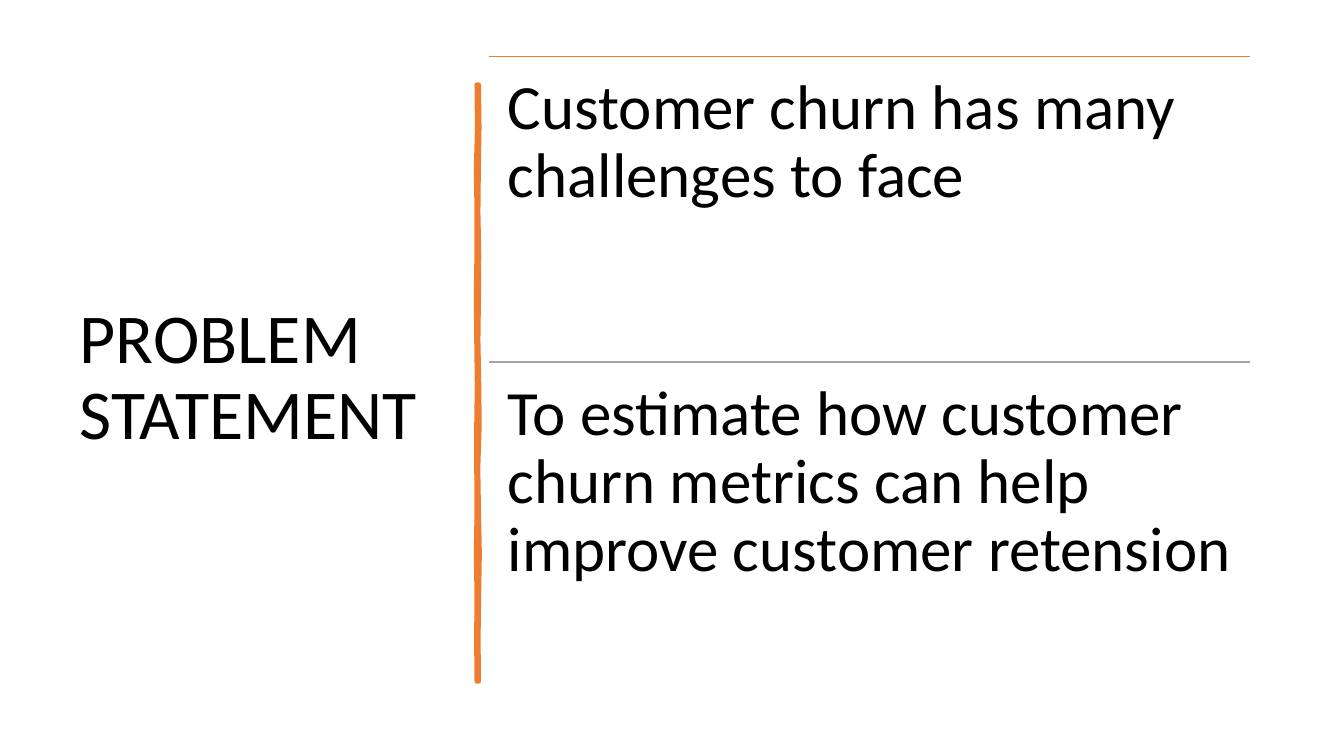
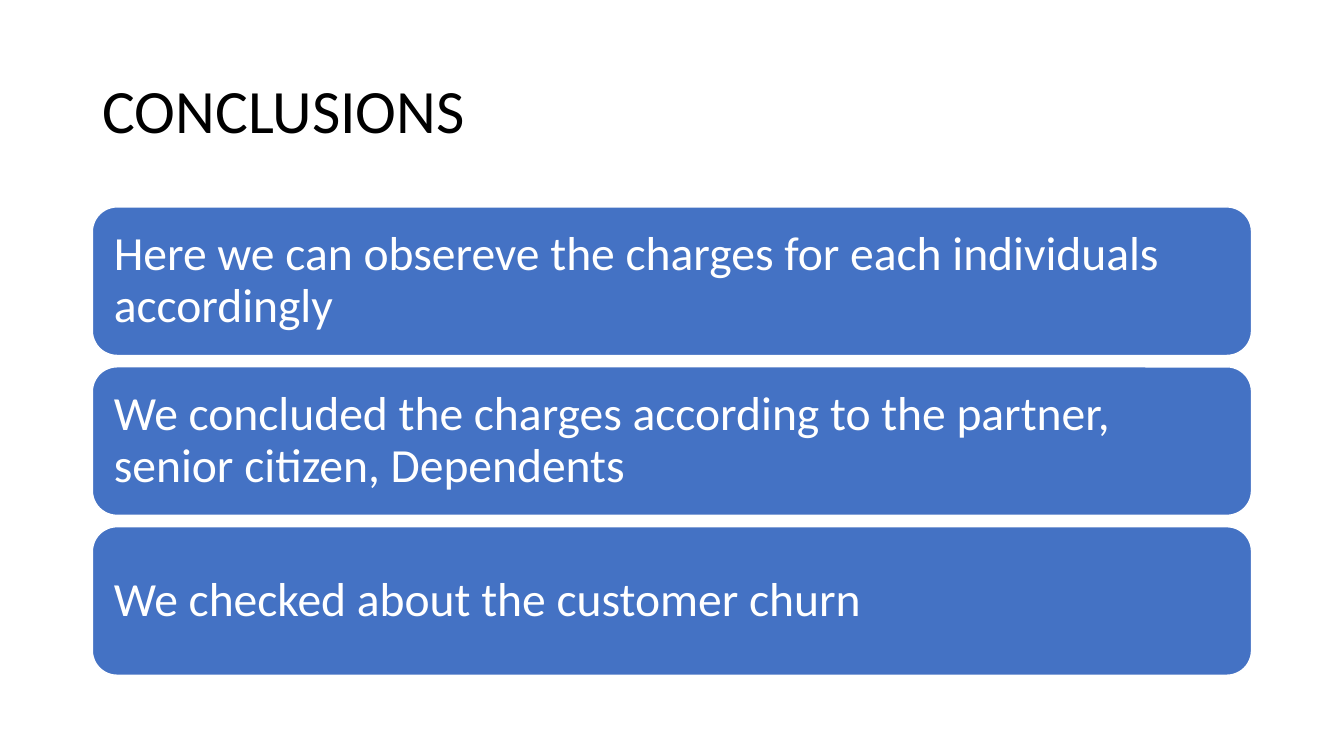
from pptx import Presentation
from pptx.dml.color import RGBColor
from pptx.enum.shapes import MSO_CONNECTOR as LINE, MSO_SHAPE as SHAPE
from pptx.enum.text import MSO_ANCHOR as ANCHOR, MSO_AUTO_SIZE as AUTO, PP_ALIGN as ALIGN
from pptx.oxml.ns import qn
from pptx.util import Pt
from lxml import etree

FONT = "Calibri"
COLORS = {name: RGBColor.from_string(value) for name, value in {
    "text": "000000", "white": "FFFFFF", "orange": "ED7D31",
    "gray": "A5A5A5", "blue": "4472C4"}.items()}


def set_text(sp, text, size, color="text", anchor=ANCHOR.MIDDLE, inset=None):
    tf = sp.text_frame
    tf.word_wrap = True
    tf.auto_size = AUTO.NONE
    tf.vertical_anchor = anchor
    if inset is not None:
        tf.margin_left = tf.margin_right = Pt(inset)
        tf.margin_top = tf.margin_bottom = Pt(inset)
    p = tf.paragraphs[0]
    p.alignment = ALIGN.LEFT
    p.line_spacing = 0.9
    r = p.add_run()
    r.text = text
    r.font.name = FONT
    r.font.size = Pt(size)
    r.font.color.rgb = COLORS[color]


def add_titled_slide(title, left, top, width, height, size):
    s = prs.slides.add_slide(prs.slide_layouts[5])
    sp = s.shapes.title
    sp.left, sp.top, sp.width, sp.height = Pt(left), Pt(top), Pt(width), Pt(height)
    set_text(sp, title, size)
    return s


prs = Presentation()
prs.slide_width, prs.slide_height = Pt(960), Pt(540)

# Slide 1: problem statement
s = add_titled_slide("PROBLEM STATEMENT", 49.7, 50.4, 269.3, 440, 50)

# Hand-drawn vertical divider, as sideways offsets at equal steps
center, top, height = 341.3, 60.5, 426.2
right_edge = [0.7, 1.1, 0.6, 0.3, 0.9, 0.7, 0.3, 0.9, 1.2, 0.2, 0.7, 1.3, 0.8, 0.4, 0.7]
left_edge = [-0.7, -0.4, -1.2, -0.7, -0.8, -1.2, -0.9, -0.5, -0.9, -0.9, -0.7, -1.2, -0.7, -1, -0.7]
step = height / (len(right_edge) - 1)
right = [(Pt(center + dx), Pt(top + i * step)) for i, dx in enumerate(right_edge)]
left = [(Pt(center + dx), Pt(top + i * step)) for i, dx in enumerate(left_edge)]
outline = right + left[::-1]
builder = s.shapes.build_freeform(*outline[0])
builder.add_line_segments(outline[1:], close=True)
divider = builder.convert_to_shape()
divider.shadow.inherit = False
divider.fill.solid()
divider.fill.fore_color.rgb = COLORS["orange"]
divider.line.color.rgb = COLORS["orange"]
divider.line.width = Pt(3.25)
etree.SubElement(divider.line._get_or_add_ln(), qn("a:round"))

# Statements, each under a rule
statements = [
    ("Customer churn has many challenges to face", "orange"),
    ("To estimate how customer churn metrics can help improve customer retension", "gray"),
]
left, top, width, height = 349.2, 40.4, 543.6, 218.1
for i, (text, color) in enumerate(statements):
    y = top + i * height
    rule = s.shapes.add_connector(LINE.STRAIGHT, Pt(left), Pt(y), Pt(left + width), Pt(y))
    rule.line.color.rgb = COLORS[color]
    rule.line.width = Pt(1)
    etree.SubElement(rule._element.spPr, qn("a:effectLst"))
    box = s.shapes.add_textbox(Pt(left), Pt(y), Pt(width), Pt(height))
    set_text(box, text, 45, anchor=ANCHOR.TOP, inset=13.5)

# Slide 2: conclusions
s = add_titled_slide("CONCLUSIONS", 66, 28.75, 828, 104.4, 44)

# Stacked cards
conclusions = [
    "Here we can obsereve the charges for each individuals accordingly",
    "We concluded the charges according to the partner, senior citizen, Dependents",
    "We checked about the customer churn",
]
top, height, gap = 147.8, 106.1, 8.1
for i, text in enumerate(conclusions):
    card = s.shapes.add_shape(SHAPE.ROUNDED_RECTANGLE, Pt(66), Pt(top + i * (height + gap)),
                              Pt(828), Pt(height))
    card.shadow.inherit = False
    card.fill.solid()
    card.fill.fore_color.rgb = COLORS["blue"]
    card.line.color.rgb = COLORS["white"]
    card.line.width = Pt(1)
    set_text(card, text, 34, color="white", inset=10.2)

prs.save("out.pptx")
